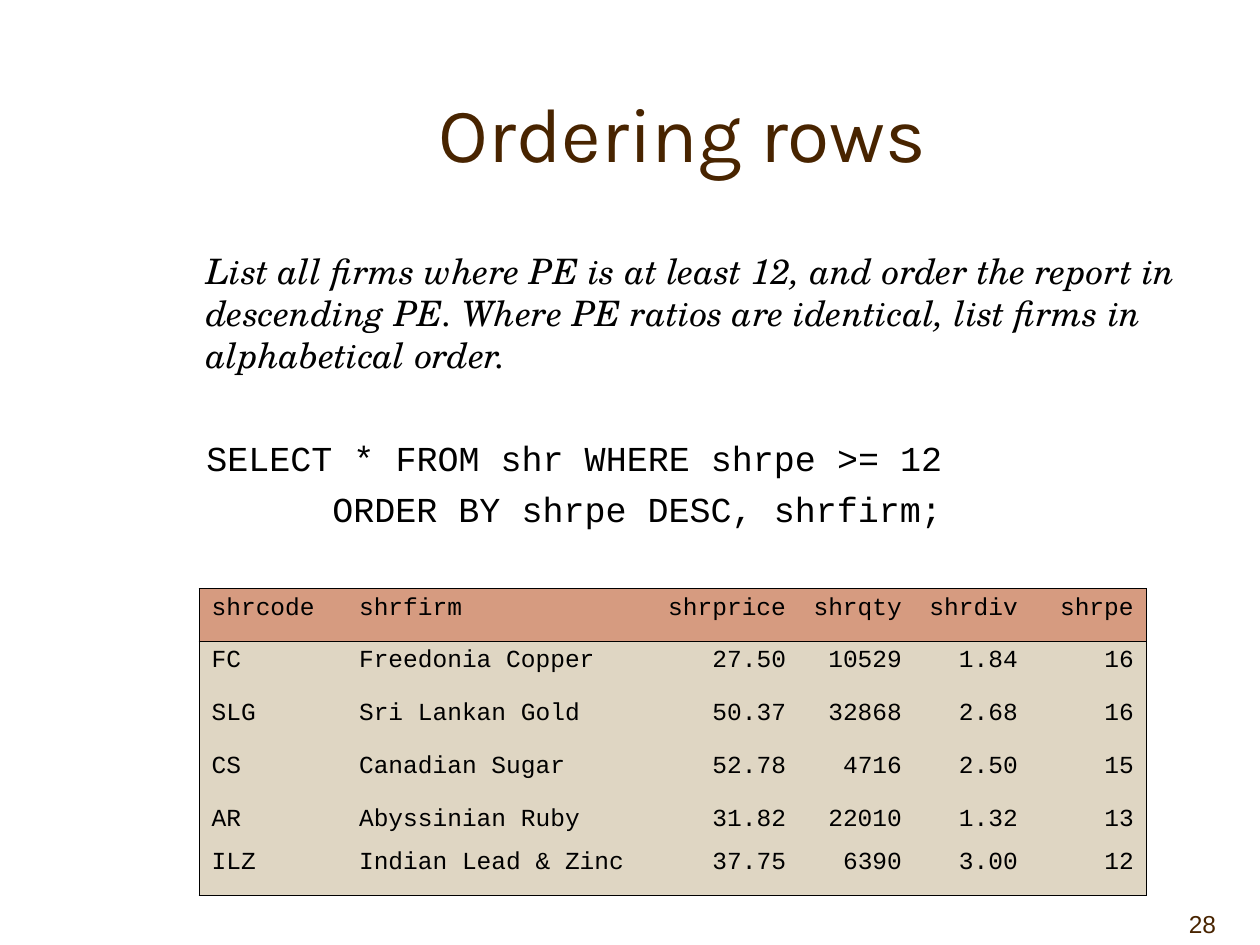
from lxml.etree import SubElement
from pptx import Presentation
from pptx.dml.color import RGBColor
from pptx.enum.text import MSO_ANCHOR, PP_ALIGN
from pptx.oxml.ns import qn
from pptx.util import Inches, Pt

BLACK, BROWN = "000000", "482400"
HEAD, BODY = "D69B80", "DFD6C3"
MONO, SERIF = "Courier New", "TeX Gyre Schola"

COLS = [1.17, 2.42, 1.17, 0.92, 0.92, 0.92]
HEIGHTS = [0.42, 0.42, 0.42, 0.42, 0.34, 0.42]
ROWS = [
    ["shrcode", "shrfirm", "shrprice", "shrqty", "shrdiv", "shrpe"],
    ["FC", "Freedonia Copper", "27.50", "10529", "1.84", "16"],
    ["SLG", "Sri Lankan Gold", "50.37", "32868", "2.68", "16"],
    ["CS", "Canadian Sugar", "52.78", "4716", "2.50", "15"],
    ["AR", "Abyssinian Ruby", "31.82", "22010", "1.32", "13"],
    ["ILZ", "Indian Lead & Zinc", "37.75", "6390", "3.00", "12"],
]
QUERY = [
    ("List all firms where PE is at least 12, and order the report in "
     "descending PE. Where PE ratios are identical, list firms in "
     "alphabetical order.", SERIF, 0.38, 5),
    ("SELECT * FROM shr WHERE shrpe >= 12", MONO, 0.38, 35),
    ("ORDER BY shrpe DESC, shrfirm;", MONO, 1.38, 5),
]


def color(code):
    return RGBColor.from_string(code)


def style(para, font, size, code=BLACK, align=PP_ALIGN.LEFT, before=0):
    para.alignment = align
    para.space_before = Pt(before)
    for run in para.runs:
        run.font.name = font
        run.font.size = Pt(size)
        run.font.color.rgb = color(code)


def add_box(slide, left, top, width, height, anchor=MSO_ANCHOR.TOP):
    box = slide.shapes.add_textbox(
        Inches(left), Inches(top), Inches(width), Inches(height))
    frame = box.text_frame
    frame.word_wrap = True
    frame.vertical_anchor = anchor
    return frame


def add_query(slide):
    frame = add_box(slide, 1.16, 1.93, 8.5, 4.5)
    frame.text = "\n".join(text for text, *_ in QUERY)
    for para, (_, font, indent, before) in zip(frame.paragraphs, QUERY):
        style(para, font, 20, before=before)
        para.font.italic = font == SERIF
        para.runs[0].font.italic = font == SERIF
        para._p.get_or_add_pPr().set("marL", str(Inches(indent)))


def set_edges(cell, shown):
    """Rule the edges named in shown and clear the others."""
    props = cell._tc.get_or_add_tcPr()
    for edge in "LRTB":
        line = SubElement(props, qn(f"a:ln{edge}"), w=str(Pt(0.45)))
        if edge in shown:
            fill = SubElement(line, qn("a:solidFill"))
            SubElement(fill, qn("a:srgbClr"), val=BLACK)
        else:
            SubElement(line, qn("a:noFill"))


def find_edges(row, col):
    """Outer frame, plus the rule under the header."""
    rules = {
        "L": col == 0,
        "R": col == len(COLS) - 1,
        "T": row in (0, 1),
        "B": row in (0, len(ROWS) - 1),
    }
    return [edge for edge, shown in rules.items() if shown]


def add_grid(slide):
    table = slide.shapes.add_table(
        len(ROWS), len(COLS), Inches(1.58), Inches(4.67),
        Inches(sum(COLS)), Inches(sum(HEIGHTS))).table
    for column, width in zip(table.columns, COLS):
        column.width = Inches(width)
    for r, values in enumerate(ROWS):
        table.rows[r].height = Inches(HEIGHTS[r])
        for c, value in enumerate(values):
            cell = table.cell(r, c)
            cell.text_frame.text = value
            align = PP_ALIGN.LEFT if c < 2 else PP_ALIGN.RIGHT
            style(cell.text_frame.paragraphs[0], MONO, 14,
                  align=align, before=3.5)
            for run in cell.text_frame.paragraphs[0].runs:
                run.font.bold = False
            set_edges(cell, find_edges(r, c))
            cell.fill.solid()
            cell.fill.fore_color.rgb = color(BODY if r else HEAD)


def main():
    deck = Presentation()
    deck.slide_width, deck.slide_height = Inches(10), Inches(7.5)
    slide = deck.slides.add_slide(deck.slide_layouts[6])

    title = add_box(slide, 1.17, 0.42, 8.5, 1.25, MSO_ANCHOR.MIDDLE)
    title.text = "Ordering rows"
    style(title.paragraphs[0], "Karla", 44, BROWN, PP_ALIGN.CENTER)

    add_query(slide)
    add_grid(slide)

    number = add_box(slide, 8.5, 7, 1.25, 0.5, MSO_ANCHOR.BOTTOM)
    number.text = "28"
    style(number.paragraphs[0], "Arial", 14, BROWN, PP_ALIGN.RIGHT)

    deck.save("out.pptx")


if __name__ == "__main__":
    main()
